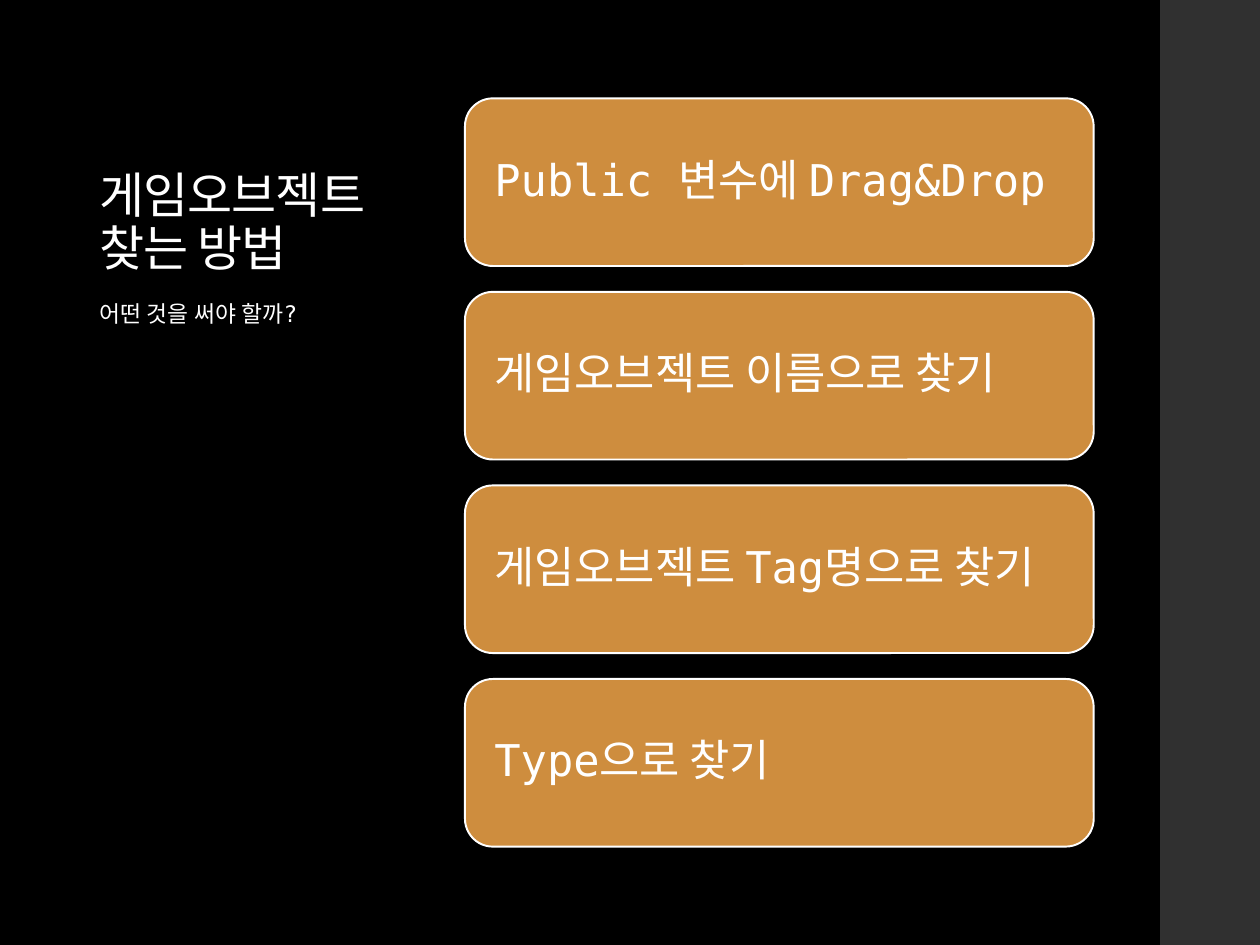
"""Builds a slide listing four ways to find a game object."""
import pptx
import pptx.dml.color
import pptx.enum.shapes
import pptx.enum.text
import pptx.util

Pt = pptx.util.Pt
ANCHOR = pptx.enum.text.MSO_ANCHOR
SHAPES = pptx.enum.shapes.MSO_SHAPE
FONT = "DejaVu Sans Mono"
COLORS = {"background": "000000", "sidebar": "303030", "card": "CE8D3E", "white": "FFFFFF"}
METHODS = [
    "Public 변수에 Drag&Drop",
    "게임오브젝트 이름으로 찾기",
    "게임오브젝트 Tag명으로 찾기",
    "Type으로 찾기",
]
CARD_TOP, CARD_PITCH = 56.2, 110.6


def color(name):
    return pptx.dml.color.RGBColor.from_string(COLORS[name])


def paint(fill, name):
    fill.solid()
    fill.fore_color.rgb = color(name)


def write(shape, text, size, anchor, line_spacing):
    frame = shape.text_frame
    frame.word_wrap = True
    frame.vertical_anchor = anchor
    paragraph = frame.paragraphs[0]
    paragraph.text = text
    paragraph.alignment = pptx.enum.text.PP_ALIGN.LEFT
    paragraph.line_spacing = line_spacing
    paragraph.font.name = FONT
    paragraph.font.size = Pt(size)
    paragraph.font.color.rgb = color("white")
    return paragraph


def add_shape(slide, kind, left, top, width, height, fill):
    shape = slide.shapes.add_shape(kind, Pt(left), Pt(top), Pt(width), Pt(height))
    shape.shadow.inherit = False
    paint(shape.fill, fill)
    shape.line.fill.background()
    return shape


def add_text(slide, top, height, text, size, anchor, line_spacing, tracking):
    box = slide.shapes.add_textbox(Pt(49.7), Pt(top), Pt(188.6), Pt(height))
    paragraph = write(box, text, size, anchor, line_spacing)
    paragraph.runs[0]._r.get_or_add_rPr().set("spc", str(tracking))
    return paragraph


def add_card(slide, top, text):
    card = add_shape(slide, SHAPES.ROUNDED_RECTANGLE, 265.7, top, 359.3, 95.8, "card")
    paint(card.line.fill, "white")
    card.line.width = Pt(1.1)
    card.text_frame.margin_left = card.text_frame.margin_right = Pt(12.2)
    write(card, text, 25, ANCHOR.MIDDLE, 0.9)


def main():
    presentation = pptx.Presentation()
    presentation.slide_width, presentation.slide_height = Pt(720), Pt(540)
    slide = presentation.slides.add_slide(presentation.slide_layouts[6])
    paint(slide.background.fill, "background")
    add_shape(slide, SHAPES.RECTANGLE, 663, 0, 57, 540, "sidebar")
    add_text(slide, 36, 126, "게임오브젝트 찾는 방법", 28, ANCHOR.BOTTOM, 0.9, -50)
    question = add_text(slide, 165.6, 300, "어떤 것을 써야 할까?", 13, ANCHOR.TOP, 1.14, 10)
    question.space_before, question.space_after = Pt(8), Pt(2)
    for index, method in enumerate(METHODS):
        add_card(slide, CARD_TOP + index * CARD_PITCH, method)
    presentation.save("out.pptx")


if __name__ == "__main__":
    main()
